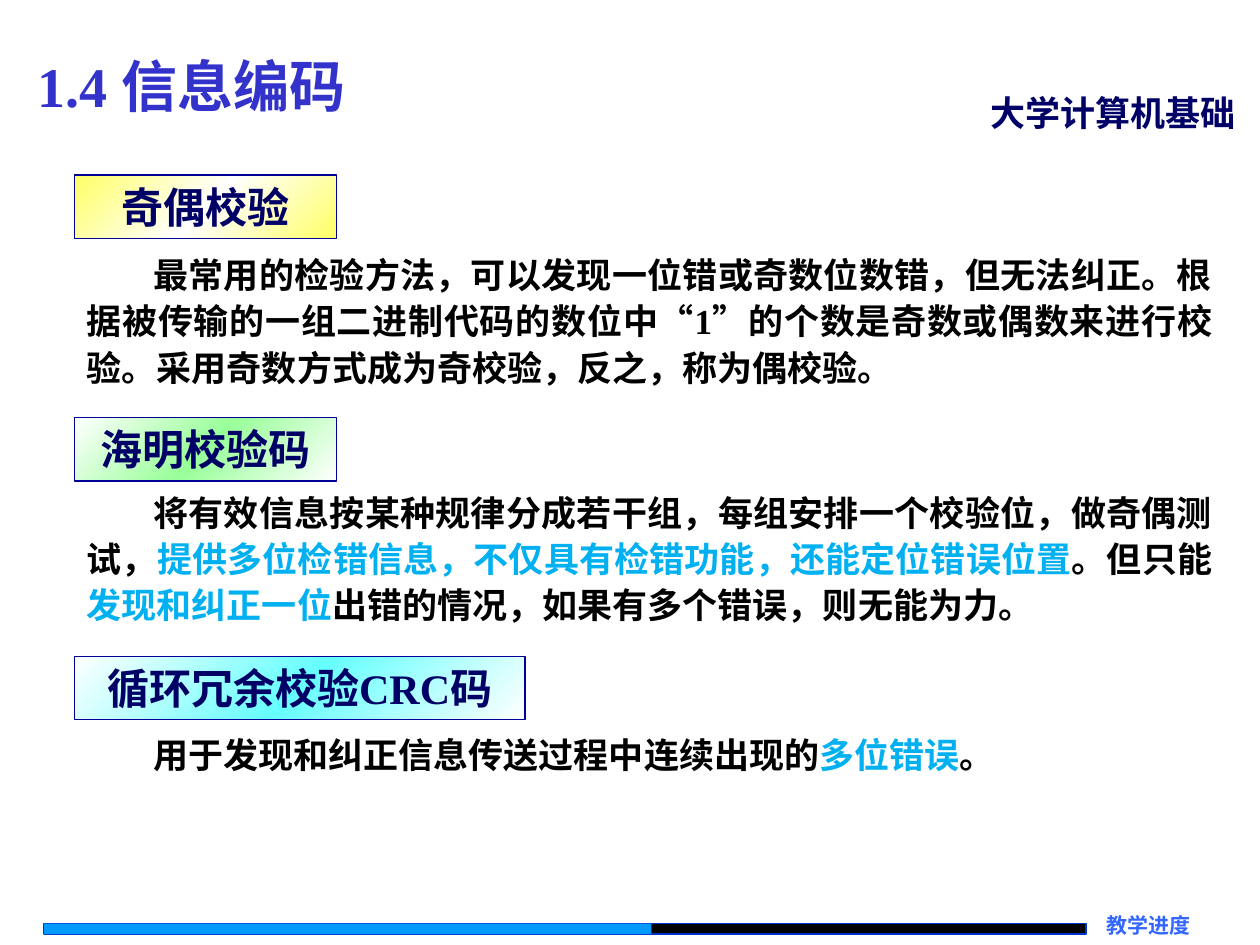
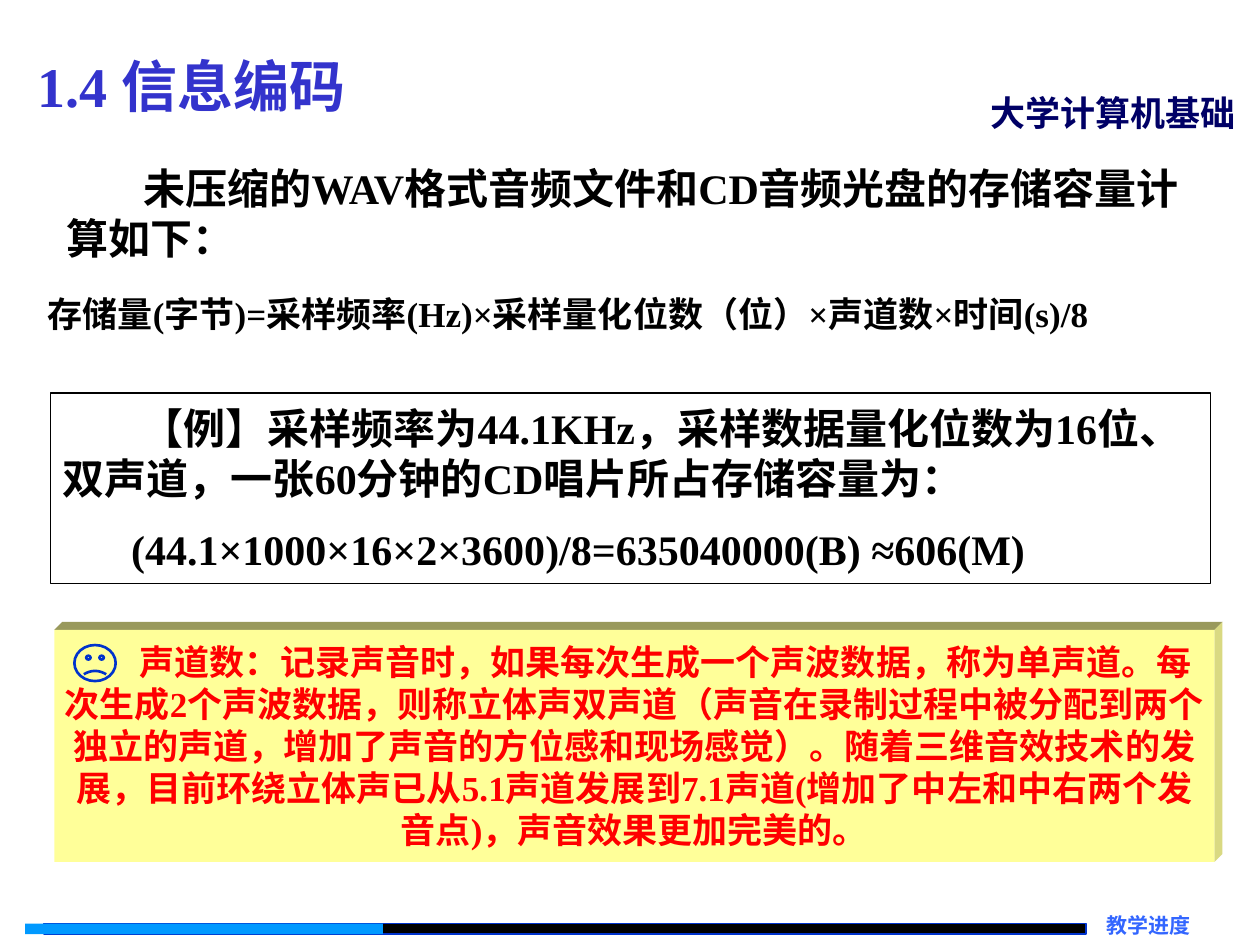
from copy import deepcopy
from dataclasses import dataclass, field

from pptx import Presentation
from pptx.dml.color import RGBColor
from pptx.enum import lang, shapes, text
from pptx.oxml.ns import qn
from pptx.util import Pt

FONT = "Times New Roman"
TITLE = "1.4 信息编码"
HUES = {
    "black": "000000", "navy": "000066", "edge": "000099", "rim": "0033CC",
    "title": "3333CC", "note": "3366FF", "bar": "0099FF", "key": "00B0F0",
    "red": "FF0000", "white": "FFFFFF", "yellow": "FFFF66", "green": "99FF99",
    "aqua": "66FFFF", "cream": "FFFF99", "top": "99995C", "side": "D9D982",
}
LEFT, MID, JUST, RIGHT = (text.PP_ALIGN.LEFT, text.PP_ALIGN.CENTER,
                          text.PP_ALIGN.JUSTIFY, text.PP_ALIGN.RIGHT)
UPPER, MIDDLE = text.MSO_ANCHOR.TOP, text.MSO_ANCHOR.MIDDLE
RECT = shapes.MSO_SHAPE.RECTANGLE


@dataclass
class Para:
    runs: list[tuple[str, str]]
    size: float = 20
    align: text.PP_ALIGN = LEFT
    indent: float = 0
    form: dict = field(default_factory=dict)


@dataclass
class Box:
    at: tuple[float, float, float, float]
    paras: list[Para]
    anchor: text.MSO_ANCHOR = UPPER
    inset: tuple[float, float] = (7.2, 3.6)
    wrap: bool = True


@dataclass
class Topic:
    label: str
    width: float
    top: float
    ends: str
    core: str
    body_top: float
    body_tall: float
    runs: list[tuple[str, str]]


def shade(name: str) -> RGBColor:
    return RGBColor.from_string(HUES[name])


def apply(thing, form: dict) -> None:
    for key, value in form.items():
        setattr(thing, key, value)


def place(shape, at: tuple) -> None:
    apply(shape, dict(zip(("left", "top", "width", "height"), map(Pt, at))))


def write(shape, box: Box) -> None:
    frame = shape.text_frame
    wide, tall = map(Pt, box.inset)
    apply(frame, {
        "word_wrap": box.wrap, "auto_size": text.MSO_AUTO_SIZE.NONE,
        "vertical_anchor": box.anchor, "margin_left": wide,
        "margin_right": wide, "margin_top": tall, "margin_bottom": tall,
    })
    for i, item in enumerate(box.paras):
        para = frame.add_paragraph() if i else frame.paragraphs[0]
        apply(para, {"alignment": item.align, **item.form})
        if item.indent:
            para._p.get_or_add_pPr().set("indent", str(Pt(item.indent)))
        for words, hue in item.runs:
            run = para.add_run()
            run.text = words
            apply(run.font, {
                "name": FONT, "size": Pt(item.size), "bold": True,
                "language_id": lang.MSO_LANGUAGE_ID.SIMPLIFIED_CHINESE,
            })
            run.font.color.rgb = shade(hue)


def paint(shape, fill: str = "", line: str = "", weight: float = 0.75) -> None:
    shape.shadow.inherit = False
    if fill:
        shape.fill.solid()
        shape.fill.fore_color.rgb = shade(fill)
    else:
        shape.fill.background()
    if line:
        shape.line.color.rgb = shade(line)
        shape.line.width = Pt(weight)
    else:
        shape.line.fill.background()


def draw(slide, at: tuple, fill: str = "", line: str = "",
         weight: float = 0.75, kind=RECT):
    shape = slide.shapes.add_shape(kind, *map(Pt, at))
    paint(shape, fill, line, weight)
    return shape


def blend(shape, ends: str, core: str) -> None:
    fill = shape.fill
    fill.gradient()
    fill.gradient_angle = 315
    stops = shape._element.spPr.find(".//" + qn("a:gsLst"))
    stops.append(deepcopy(stops[0]))
    for stop, spot, hue in zip(fill.gradient_stops, (0, 0.5, 1), (ends, core, ends)):
        stop.position = spot
        stop.color.rgb = shade(hue)


def add_text(slide, box: Box) -> None:
    write(slide.shapes.add_textbox(*map(Pt, box.at)), box)


def add_face(slide, points: list[tuple[float, float]], hue: str) -> None:
    first, *rest = [(Pt(x), Pt(y)) for x, y in points]
    maker = slide.shapes.build_freeform(*first)
    maker.add_line_segments(rest, close=True)
    paint(maker.convert_to_shape(), hue)


def add_base(deck, left: float, width: float):
    slide = deck.slides.add_slide(deck.slide_layouts[5])
    draw(slide, (25.2, 527.8, 595.4, 6), "black", "rim")
    add_text(slide, Box((620.6, 521.3, 59.8, 15),
                        [Para([("教学进度", "note")], 12, RIGHT)],
                        inset=(0, 0), wrap=False))
    add_text(slide, Box((558.7, 49, 161.3, 31),
                        [Para([("大学计算机基础", "navy")])]))
    draw(slide, (left, 527.8, width, 6), "bar")
    head = Box((14.4, 25.9, 329, 45.4), [Para([(TITLE, "title")], 32)])
    place(slide.shapes.title, head.at)
    write(slide.shapes.title, head)
    return slide


TOPICS = [
    Topic("奇偶校验", 150, 100, "yellow", "white", 139, 87, [
        ("最常用的检验方法，可以发现一位错或奇数位数错，但无法纠正。根据被传输的"
         "一组二进制代码的数位中“1”的个数是奇数或偶数来进行校验。采用奇数方式"
         "成为奇校验，反之，称为偶校验。", "black")]),
    Topic("海明校验码", 150, 238.5, "white", "green", 275, 87, [
        ("将有效信息按某种规律分成若干组，每组安排一个校验位，做奇偶测试，", "black"),
        ("提供多位检错信息，不仅具有检错功能，还能定位错误位置", "key"),
        ("。但只能", "black"),
        ("发现和纠正一位", "key"),
        ("出错的情况，如果有多个错误，则无能为力。", "black")]),
    Topic("循环冗余校验CRC码", 257.5, 375, "white", "aqua", 413.3, 34, [
        ("用于发现和纠正信息传送过程中连续出现的", "black"),
        ("多位错误", "key"),
        ("。", "black")]),
]


def add_codes(deck) -> None:
    slide = add_base(deck, 25.2, 347)
    for topic in TOPICS:
        at = (42.5, topic.top, topic.width, 36.4)
        label = draw(slide, at, line="edge")
        blend(label, topic.ends, topic.core)
        write(label, Box(at, [Para([(topic.label, "navy")], 24, MID)]))
        add_text(slide, Box((42.5, topic.body_top, 657.4, topic.body_tall),
                            [Para(topic.runs, 20, JUST, 38, {"line_spacing": 1.1})]))


def add_sound(deck) -> None:
    slide = add_base(deck, 14.4, 204.5)
    add_text(slide, Box((31, 88.6, 663, 65.5), [Para(
        [("未压缩的WAV格式音频文件和CD音频光盘的存储容量计算如下：", "black")],
        24, indent=44)], MIDDLE))
    add_text(slide, Box((20.2, 163.4, 692, 31.7), [Para(
        [("存储量(字节)=采样频率(Hz)×采样量化位数（位）×声道数×时间(s)/8", "black")])],
        MIDDLE))

    sample = Box((28.8, 224.6, 663, 108.7), [
        Para([("【例】采样频率为44.1KHz，采样数据量化位数为16位、双声道，"
               "一张60分钟的CD唱片所占存储容量为：", "black")], 24, indent=45),
        Para([("(44.1×1000×16×2×3600)/8=635040000(B) ≈606(M)", "black")],
             24, indent=39, form={"space_before": Pt(12)}),
    ], MIDDLE)
    write(draw(slide, sample.at, line="black"), sample)

    x, y, wide, tall = 31, 360, 663, 132.5
    right, low, deep = x + wide, y + tall, 4.6
    add_face(slide, [(x, y), (x + deep, y - deep),
                     (right + deep, y - deep), (right, y)], "top")
    add_face(slide, [(right, y), (right + deep, y - deep),
                     (right + deep, low - deep), (right, low)], "side")
    panel = Box((x, y, wide, tall), [Para(
        [("声道数：记录声音时，如果每次生成一个声波数据，称为单声道。每次生成2个声波数据，"
          "则称立体声双声道（声音在录制过程中被分配到两个独立的声道，增加了声音的方位感和"
          "现场感觉）。随着三维音效技术的发展，目前环绕立体声已从5.1声道发展到7.1声道"
          "(增加了中左和中右两个发音点)，声音效果更加完美的。", "red")],
        20, MID, 36)], MIDDLE, (5.8, 5.8))
    write(draw(slide, panel.at, "cream"), panel)
    face = draw(slide, (42.5, 368.6, 23.6, 20.6), line="rim", weight=1.5,
                kind=shapes.MSO_SHAPE.SMILEY_FACE)
    face.adjustments[0] = -0.047


def main() -> None:
    deck = Presentation()
    apply(deck, {"slide_width": Pt(720), "slide_height": Pt(540)})
    add_codes(deck)
    add_sound(deck)
    deck.save("out.pptx")


if __name__ == "__main__":
    main()
